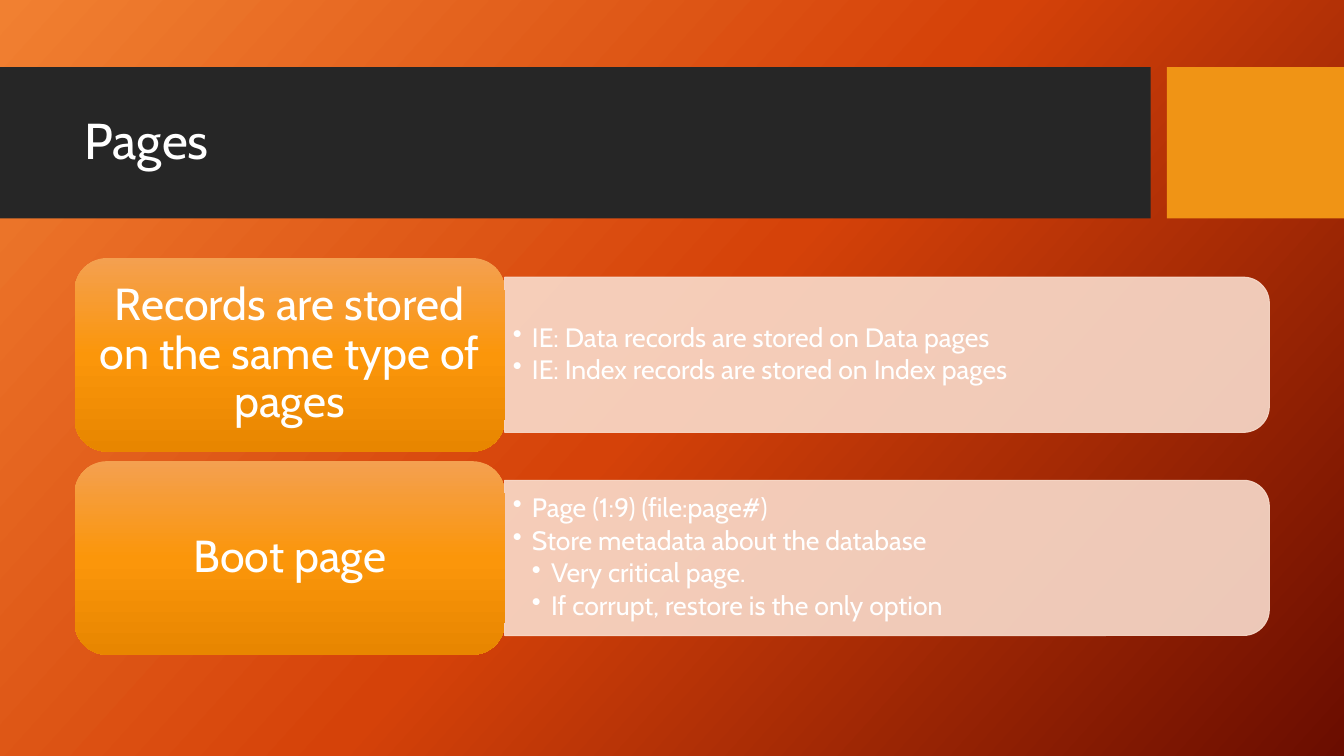
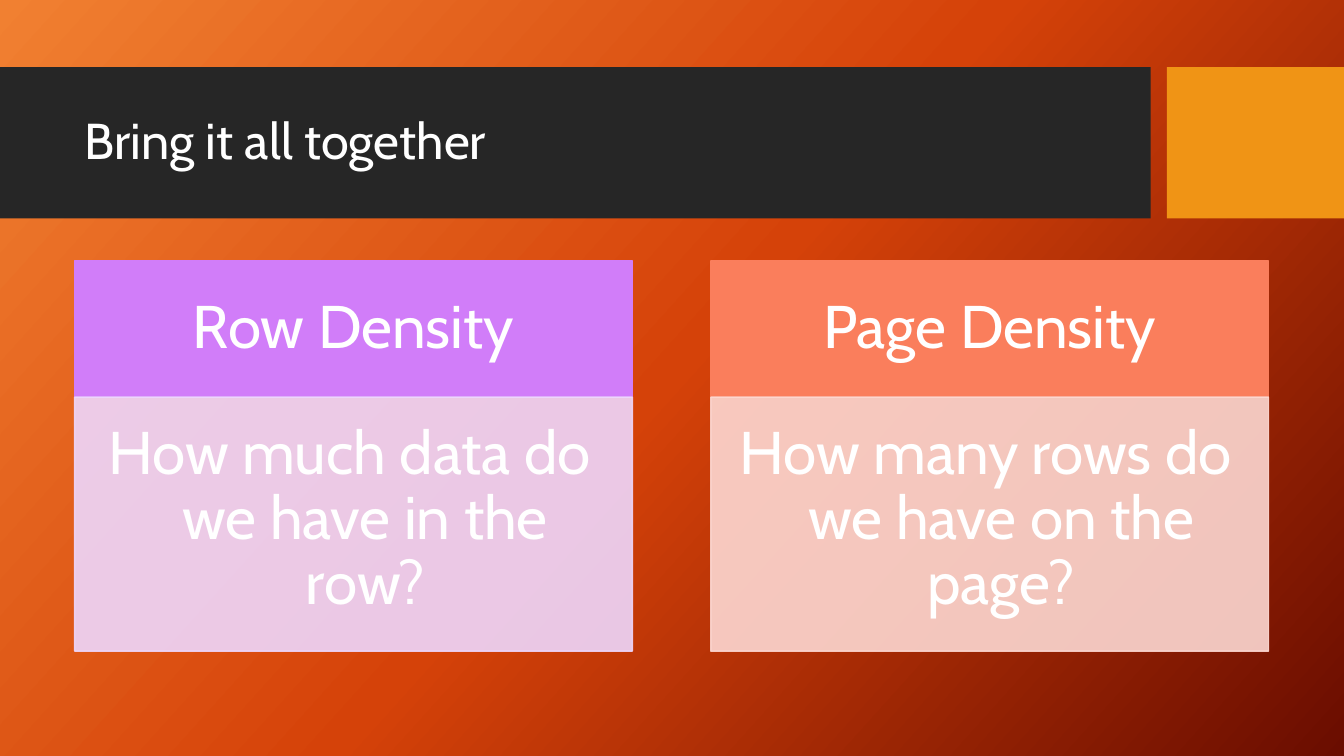
"""Build two slides on database pages and density."""
from lxml import etree
from pptx import Presentation
from pptx.dml.color import RGBColor
from pptx.enum.shapes import MSO_SHAPE
from pptx.enum.text import MSO_ANCHOR, PP_ALIGN
from pptx.oxml.ns import qn
from pptx.util import Inches, Pt

RECTANGLE = MSO_SHAPE.RECTANGLE
ROUNDED = MSO_SHAPE.ROUNDED_RECTANGLE
ROUNDED_END = MSO_SHAPE.ROUND_2_SAME_RECTANGLE
TOP, MIDDLE = MSO_ANCHOR.TOP, MSO_ANCHOR.MIDDLE
LEFT, CENTER = PP_ALIGN.LEFT, PP_ALIGN.CENTER

FONT = "Cabin"
WHITE, DARK, ACCENT, PANEL = "FFFFFF", "262626", "F09415", "F9DCCC"
BACKGROUND = ("F18031", "D54209", "6A0D00")
LABEL = ("F4A050", "FB960A", "E88600")

presentation = Presentation()
presentation.slide_width = Inches(13.33)
presentation.slide_height = Inches(7.5)
COLUMN = presentation.slide_width / 18
ROW = presentation.slide_height / 45


def paint(fill, element, colours, angle=0):
    """Fill with one hex colour, or with an even gradient of several."""
    if isinstance(colours, str):
        fill.solid()
        fill.fore_color.rgb = RGBColor.from_string(colours)
        return
    fill.gradient()
    fill.gradient_angle = 360 - angle
    stops = next(element.iter(qn("a:gsLst")))
    for stop in list(stops):
        stops.remove(stop)
    for index, colour in enumerate(colours):
        position = 100000 * index // (len(colours) - 1)
        stop = etree.SubElement(stops, qn("a:gs"), pos=str(position))
        etree.SubElement(stop, qn("a:srgbClr"), val=colour)


def add_block(slide, box, preset=None, colours=None, line_width=0, opacity=100,
              turned=False, lines=(), size=36, align=CENTER, anchor=MIDDLE,
              insets=(0, 0, 0, 0), indent=0, bullet=False, space=0):
    """Add a shape or text box on the grid, with (level, text) lines."""
    left, top, width, height = (
        round(count * unit) for count, unit in zip(box, (COLUMN, ROW) * 2))
    if turned:
        left, top = left + (width - height) // 2, top + (height - width) // 2
        width, height = height, width
    if preset is None:
        shape = slide.shapes.add_textbox(left, top, width, height)
    else:
        shape = slide.shapes.add_shape(preset, left, top, width, height)
        shape.shadow.inherit = False
        paint(shape.fill, shape.element, colours, 90)
        if line_width:
            paint(shape.line.fill, shape.element, colours)
            shape.line.width = Pt(line_width)
        else:
            shape.line.fill.background()
        if opacity < 100:
            for colour in shape.element.spPr.iter(qn("a:srgbClr")):
                etree.SubElement(colour, qn("a:alpha"), val=str(opacity * 1000))
    if turned:
        shape.rotation = 90

    frame = shape.text_frame
    frame.word_wrap = True
    frame.vertical_anchor = anchor
    frame.margin_left, frame.margin_top, frame.margin_right, frame.margin_bottom = (
        Inches(inset) for inset in insets)
    for index, (level, text) in enumerate(lines):
        paragraph = frame.add_paragraph() if index else frame.paragraphs[0]
        paragraph.text = text
        paragraph.level = level
        paragraph.alignment = align
        if level:
            properties = paragraph._p.get_or_add_pPr()
            properties.set("marL", str(Inches(indent * level)))
            properties.set("indent", str(-Inches(indent)))
            if bullet:
                etree.SubElement(properties, qn("a:buChar"), char="•")
        paragraph.line_spacing = 0.9
        paragraph.space_after = Pt(size * space)
        paragraph.font.name = FONT
        paragraph.font.size = Pt(size)
        paragraph.font.color.rgb = RGBColor.from_string(WHITE)


master = presentation.slide_master
paint(master.background.fill, master.element, BACKGROUND, 42)

slides = []
for title in ("Pages", "Bring it all together"):
    slide = presentation.slides.add_slide(presentation.slide_layouts[6])
    add_block(slide, (0, 4, 15.41, 9), RECTANGLE, DARK, lines=[(0, title)],
              align=LEFT, insets=(0.84, 0, 0.16, 0))
    add_block(slide, (15.63, 4, 2.37, 9), RECTANGLE, ACCENT)
    slides.append(slide)
pages_slide, density_slide = slides

topics = [
    ("Records are stored on the same type of pages", [
        (1, "IE: Data records are stored on Data pages"),
        (1, "IE: Index records are stored on Index pages"),
    ]),
    ("Boot page", [
        (1, "Page (1:9) (file:page#)"),
        (1, "Store metadata about the database"),
        (2, "Very critical page."),
        (2, "If corrupt, restore is the only option"),
    ]),
]
for index, (label, details) in enumerate(topics):
    top = 15.36 + 12.09 * index
    add_block(pages_slide, (6.76, top + 1.14, 10.24, 9.24), ROUNDED_END, PANEL,
              line_width=0.75, opacity=90, turned=True)
    add_block(pages_slide, (6.76, top + 1.58, 10.14, 8.36), lines=details, size=19,
              align=LEFT, insets=(0.08, 0.04, 0.08, 0.04), indent=0.19,
              bullet=True, space=0.15)
    add_block(pages_slide, (1, top, 5.76, 11.52), ROUNDED, LABEL,
              lines=[(0, label)], size=32, insets=(0.13, 0.07, 0.13, 0.07),
              space=0.35)

densities = [
    ("Row Density", "How much data do we have in the row?", "D17DF9", "EED7FD"),
    ("Page Density", "How many rows do we have on the page?", "FA7E5C", "FDD8D2"),
]
for index, (heading, question, strong, pale) in enumerate(densities):
    left = 1 + 8.52 * index
    add_block(density_slide, (left, 15.54, 7.47, 8.1), RECTANGLE, strong,
              line_width=1, lines=[(0, heading)], size=43,
              insets=(0.33, 0.19, 0.33, 0.19), space=0.35)
    add_block(density_slide, (left, 23.64, 7.47, 15.12), RECTANGLE, pale,
              line_width=1, opacity=90, lines=[(1, question)], size=43,
              anchor=TOP, insets=(0.25, 0.25, 0.33, 0.38), indent=0.31, space=0.15)

presentation.save("out.pptx")
